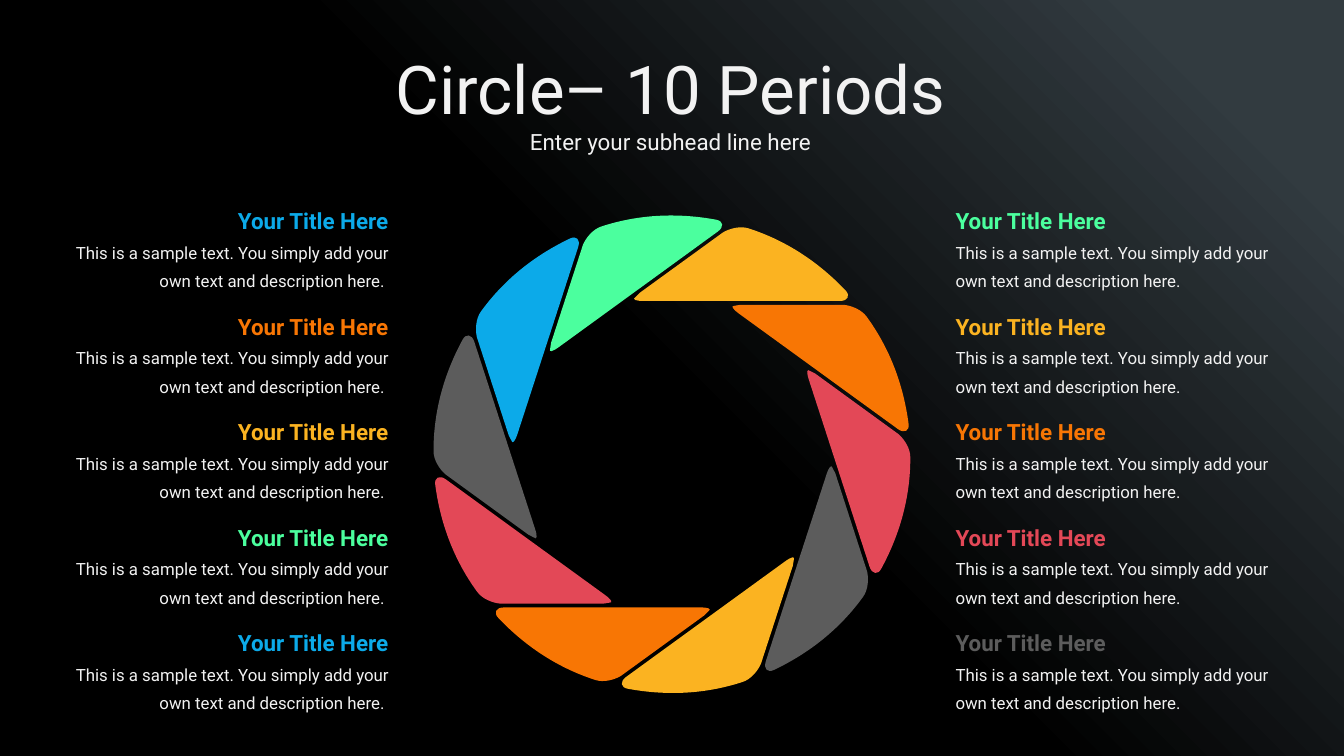
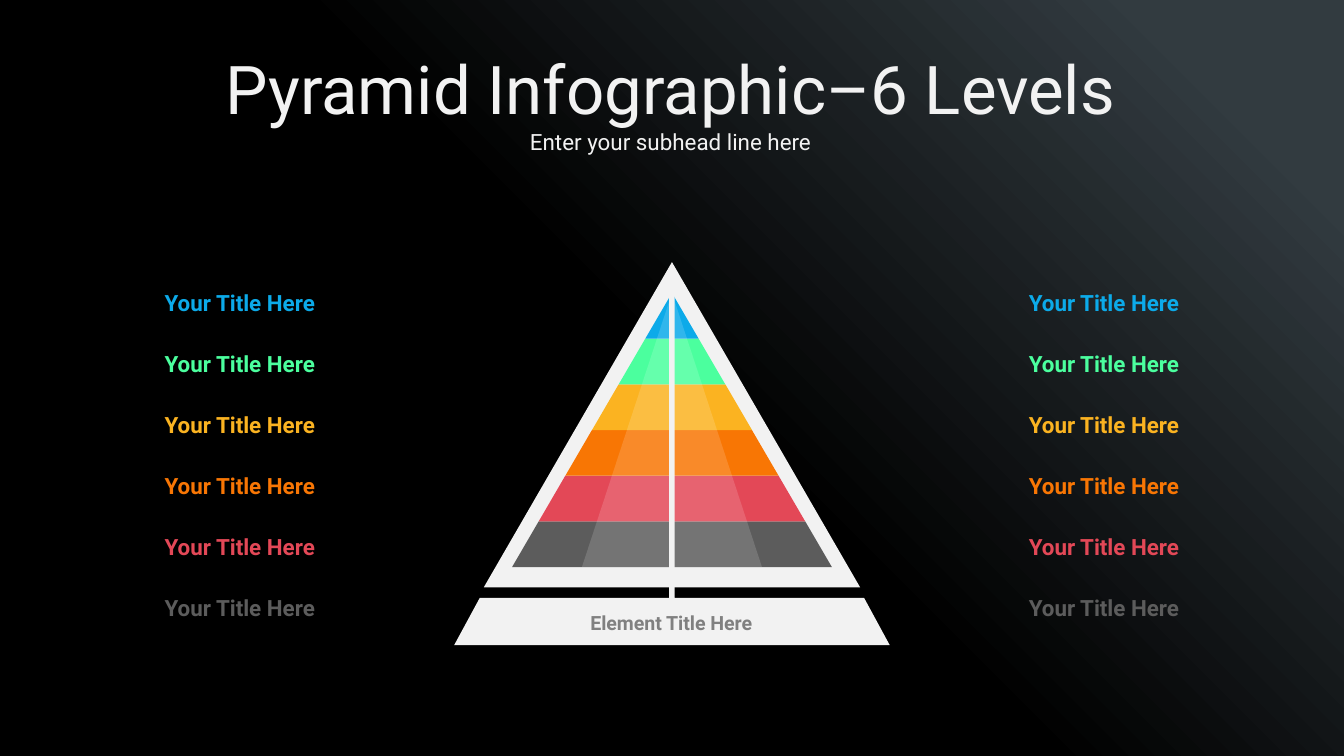
from copy import deepcopy
from dataclasses import dataclass
from math import cos, radians, sin
from typing import NamedTuple

from lxml.etree import SubElement
from pptx import Presentation
from pptx.dml.color import RGBColor
from pptx.enum.shapes import MSO_SHAPE as Preset
from pptx.enum.text import MSO_ANCHOR as Anchor, MSO_AUTO_SIZE as AutoSize, PP_ALIGN as Align
from pptx.oxml.ns import qn
from pptx.util import Inches, Pt


@dataclass(frozen=True)
class Theme:
    font: str = "Roboto"
    blue: str = "0CAAE9"
    green: str = "4BFF9E"
    yellow: str = "FBB321"
    orange: str = "F87604"
    red: str = "E34857"
    grey: str = "5C5C5C"
    light: str = "F2F2F2"
    white: str = "FFFFFF"
    caption: str = "808080"
    backdrop: tuple = ((0, "000000"), (0.5, "000000"), (0.9, "323B40"))
    title_size: float = 36
    heading_size: float = 12
    caption_size: float = 10.5
    body_size: float = 9


class Point(NamedTuple):
    x: float
    y: float


class Box(NamedTuple):
    left: float
    top: float
    width: float
    height: float


class Line(NamedTuple):
    text: str
    size: float
    color: str
    bold: bool = False


@dataclass(frozen=True)
class TextStyle:
    align: Align = Align.CENTER
    spacing: float = 1.0
    inset_x: float = 0
    inset_y: float = 0
    grow: bool = False


@dataclass(frozen=True)
class Column:
    left: float
    width: float
    align: Align
    body: str
    colors: tuple


THEME = Theme()
HEADING = "Your Title Here"
SAMPLE = "This is a sample text. You simply add your own text and description here."

PERIOD_COLUMNS = (
    Column(7.11, 2.46, Align.LEFT, SAMPLE,
           (THEME.green, THEME.yellow, THEME.orange, THEME.red, THEME.grey)),
    Column(0.42, 2.47, Align.RIGHT, SAMPLE + " ",
           (THEME.blue, THEME.orange, THEME.yellow, THEME.green, THEME.blue)),
)
PERIOD_TOP, PERIOD_SPAN = 1.46, 3.14

WHEEL_CENTER = Point(5, 3.38)
BLADE_COLORS = (
    THEME.yellow, THEME.orange, THEME.red, THEME.grey, THEME.yellow,
    THEME.orange, THEME.red, THEME.grey, THEME.blue, THEME.green,
)
BLADE_START = Point(6, 2.24)
BLADE_CURVES = (
    (Point(6.06, 2.24), Point(6.16, 2.24), Point(6.22, 2.24)),
    (Point(6.23, 2.24), Point(6.24, 2.24), Point(6.25, 2.24)),
    (Point(6.31, 2.24), Point(6.33, 2.2), Point(6.29, 2.16)),
    (Point(6.09, 1.95), Point(5.85, 1.79), Point(5.57, 1.7)),
    (Point(5.51, 1.68), Point(5.43, 1.7), Point(5.38, 1.73)),
    (Point(4.76, 2.18),) * 3,
    (Point(4.76, 2.18), Point(4.75, 2.19), Point(4.73, 2.21)),
    (Point(4.7, 2.23), Point(4.73, 2.24), Point(4.79, 2.24)),
    (Point(5.51, 2.24),) * 3,
)

LEVEL_COLORS = (
    THEME.blue, THEME.green, THEME.yellow, THEME.orange, THEME.red, THEME.grey,
)
LEVEL_LEFTS = (6.85, 0.42)
LEVEL_TOP, LEVEL_SPAN = 2.06, 2.27
APEX = Point(5, 2.18)
LEVEL_HEIGHT, PYRAMID_HALF = 0.34, 1.19


def apply(target, values: dict) -> None:
    for name, value in values.items():
        setattr(target, name, value)


def add_text(slide, box: Box, lines: list[Line], style: TextStyle) -> None:
    shape = slide.shapes.add_textbox(*map(Inches, box))
    frame = shape.text_frame
    apply(frame, {
        "word_wrap": True,
        "auto_size": AutoSize.SHAPE_TO_FIT_TEXT if style.grow else AutoSize.NONE,
        "vertical_anchor": Anchor.MIDDLE,
        "margin_left": Inches(style.inset_x),
        "margin_right": Inches(style.inset_x),
        "margin_top": Inches(style.inset_y),
        "margin_bottom": Inches(style.inset_y),
    })
    for index, line in enumerate(lines):
        paragraph = frame.add_paragraph() if index else frame.paragraphs[0]
        apply(paragraph, {"alignment": style.align, "line_spacing": style.spacing})
        run = paragraph.add_run()
        run.text = line.text
        apply(run.font, {"name": THEME.font, "size": Pt(line.size), "bold": line.bold})
        run.font.color.rgb = RGBColor.from_string(line.color)


def add_polygon(group, points: list[Point], color: str, opacity: float = 1):
    corners = [(Inches(x), Inches(y)) for x, y in points]
    builder = group.shapes.build_freeform(*corners[0], scale=1.0)
    builder.add_line_segments(corners[1:], close=True)
    shape = builder.convert_to_shape()
    shape.shadow.inherit = False
    shape.line.fill.background()
    shape.fill.solid()
    shape.fill.fore_color.rgb = RGBColor.from_string(color)
    if opacity < 1:
        fill_color = shape.element.spPr.find(f"{qn('a:solidFill')}/{qn('a:srgbClr')}")
        SubElement(fill_color, qn("a:alpha")).set("val", str(round(opacity * 100000)))
    return shape


def bend_outline(shape, curve_count: int) -> None:
    segments = list(shape.element.spPr.iter(qn("a:lnTo")))
    for index in range(curve_count):
        first, second, end = segments[3 * index:3 * index + 3]
        first.tag = qn("a:cubicBezTo")
        for segment in (second, end):
            first.append(segment[0])
            segment.getparent().remove(segment)


def add_backdrop(presentation, slide) -> None:
    shape = slide.shapes.add_shape(
        Preset.RECTANGLE, 0, 0, presentation.slide_width, presentation.slide_height)
    shape.shadow.inherit = False
    shape.line.fill.background()
    shape.fill.gradient()
    shape.fill.gradient_angle = 45
    stops = shape.element.spPr.find(f"{qn('a:gradFill')}/{qn('a:gsLst')}")
    stops.append(deepcopy(stops[0]))
    for stop, (position, color) in zip(shape.fill.gradient_stops, THEME.backdrop):
        stop.position = position
        stop.color.rgb = RGBColor.from_string(color)
    shape.element.nvSpPr.cNvPr.set("id", "100")
    presentation.slide_master.shapes.element.insert(2, shape.element)


def add_titled_slide(presentation, title: str):
    slide = presentation.slides.add_slide(presentation.slide_layouts[6])
    add_text(slide, Box(0.42, 0.96, 9.14, 0.19),
             [Line("Enter your subhead line here", THEME.heading_size, THEME.light)],
             TextStyle())
    add_text(slide, Box(0.42, 0.38, 9.14, 0.54),
             [Line(title, THEME.title_size, THEME.light)], TextStyle())
    return slide


def rotate(point: Point, degrees: float) -> Point:
    angle = radians(degrees)
    x, y = point.x - WHEEL_CENTER.x, point.y - WHEEL_CENTER.y
    return Point(WHEEL_CENTER.x + x * cos(angle) - y * sin(angle),
                 WHEEL_CENTER.y + x * sin(angle) + y * cos(angle))


def draw_wheel(slide) -> None:
    group = slide.shapes.add_group_shape()
    outline = [BLADE_START] + [point for curve in BLADE_CURVES for point in curve]
    turn = 360 / len(BLADE_COLORS)
    for index, color in enumerate(BLADE_COLORS):
        blade = add_polygon(group, [rotate(point, index * turn) for point in outline], color)
        bend_outline(blade, len(BLADE_CURVES))


def draw_periods(slide) -> None:
    for column in PERIOD_COLUMNS:
        style = TextStyle(column.align, spacing=1.4, grow=True)
        step = PERIOD_SPAN / (len(column.colors) - 1)
        for row, color in enumerate(column.colors):
            add_text(slide, Box(column.left, PERIOD_TOP + row * step, column.width, 0.71),
                     [Line(HEADING, THEME.heading_size, color, True),
                      Line(column.body, THEME.body_size, THEME.light)], style)


def mirrored(right_side: list[Point]) -> list[Point]:
    left_side = [Point(2 * APEX.x - x, y) for x, y in reversed(right_side) if x != APEX.x]
    return right_side + left_side


def draw_pyramid(slide) -> None:
    group = slide.shapes.add_group_shape()
    count = len(LEVEL_COLORS)
    edges = [Point(APEX.x + PYRAMID_HALF * level / count, APEX.y + LEVEL_HEIGHT * level)
             for level in range(count + 1)]
    add_polygon(group, mirrored([Point(5, 1.95), Point(6.4, 4.37)]), THEME.light)
    for level, color in reversed(list(enumerate(LEVEL_COLORS))):
        add_polygon(group, mirrored(edges[level:level + 2]), color)
    add_polygon(group, mirrored([APEX, Point(5.67, 4.22)]), THEME.white, 0.15)
    stand = [Point(5.02, 2.16), Point(5.02, 4.45), Point(6.43, 4.45), Point(6.62, 4.8)]
    add_polygon(group, mirrored(stand), THEME.light)


def draw_level_titles(slide) -> None:
    style = TextStyle(spacing=1.2, inset_x=0.1, inset_y=0.05, grow=True)
    step = LEVEL_SPAN / (len(LEVEL_COLORS) - 1)
    for row, color in enumerate(LEVEL_COLORS):
        for left in LEVEL_LEFTS:
            add_text(slide, Box(left, LEVEL_TOP + row * step, 2.73, 0.34),
                     [Line(HEADING, THEME.heading_size, color, True)], style)
    add_text(slide, Box(4.07, 4.49, 1.85, 0.28),
             [Line("Element Title Here", THEME.caption_size, THEME.caption, True)],
             TextStyle(inset_x=0.1, inset_y=0.05, grow=True))


def main() -> None:
    presentation = Presentation()
    presentation.slide_width = Inches(10)
    presentation.slide_height = Inches(10 * 9 / 16)

    circle_slide = add_titled_slide(presentation, "Circle– 10 Periods")
    add_backdrop(presentation, circle_slide)
    draw_wheel(circle_slide)
    draw_periods(circle_slide)

    pyramid_slide = add_titled_slide(presentation, "Pyramid Infographic–6 Levels")
    draw_pyramid(pyramid_slide)
    draw_level_titles(pyramid_slide)

    presentation.save("out.pptx")


if __name__ == "__main__":
    main()
